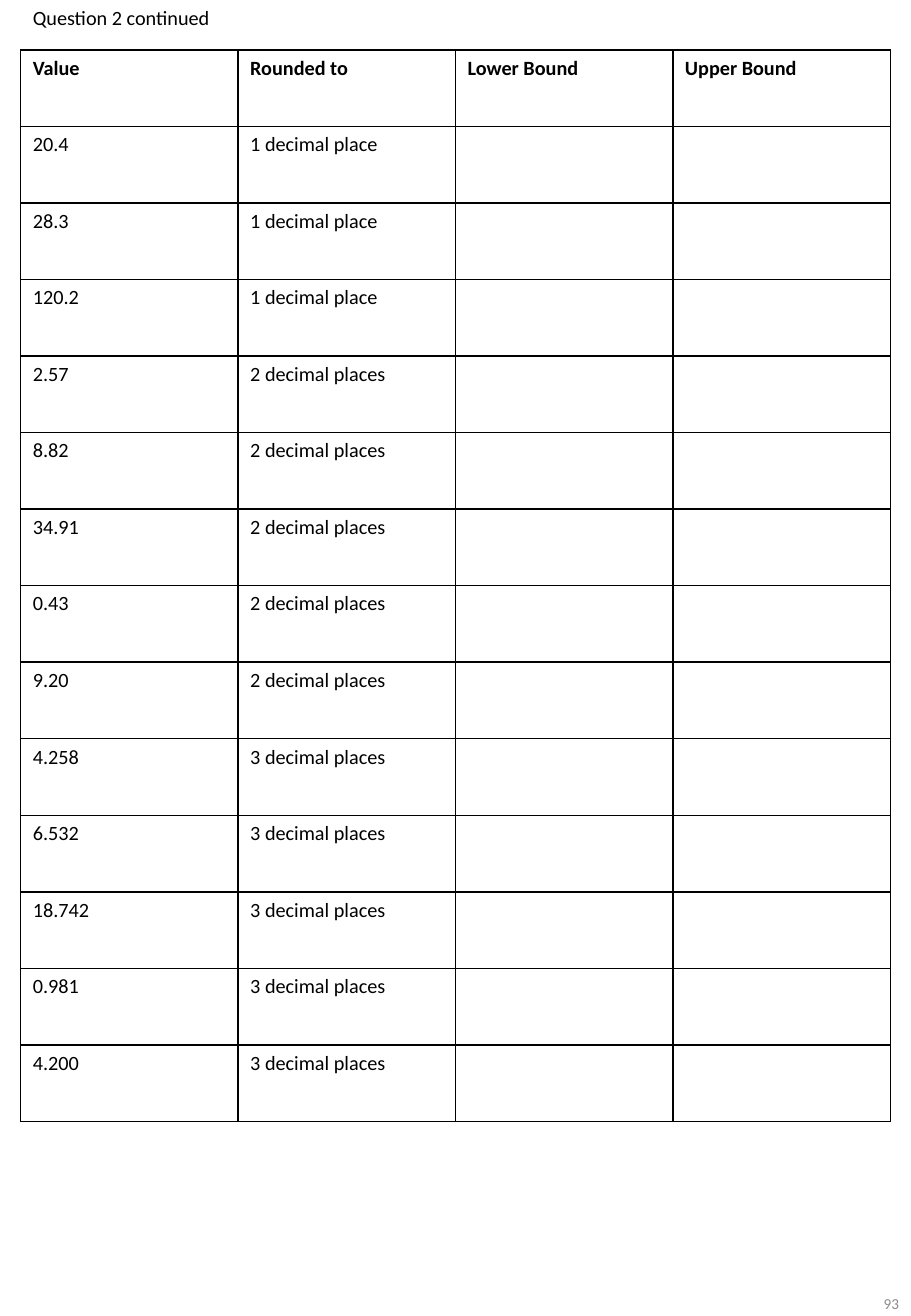
"""Build a worksheet page with a table of rounded values and blank bounds."""
import pptx
import pptx.dml.color
import pptx.enum.text
import pptx.util
from lxml import etree
from pptx.oxml.ns import qn
from pptx.util import Inches

BLACK = pptx.dml.color.RGBColor(0x00, 0x00, 0x00)
GREY = pptx.dml.color.RGBColor(0x8C, 0x8C, 0x8C)
HEADINGS = ["Value", "Rounded to", "Lower Bound", "Upper Bound"]
VALUES = ["20.4", "28.3", "120.2", "2.57", "8.82", "34.91", "0.43",
          "9.20", "4.258", "6.532", "18.742", "0.981", "4.200"]


def write(frame, text, size=12, color=BLACK, bold=False, align=pptx.enum.text.PP_ALIGN.LEFT):
    paragraph = frame.paragraphs[0]
    paragraph.alignment = align
    paragraph.font.size = pptx.util.Pt(size)
    if text:
        run = paragraph.add_run()
        run.text = text
        run.font.name = "Calibri"
        run.font.size = pptx.util.Pt(size)
        run.font.bold = bold
        run.font.color.rgb = color


def format_cell(cell, ruled_sides):
    properties = cell._tc.get_or_add_tcPr()
    for side in "LRTB":
        border = etree.SubElement(properties, qn(f"a:ln{side}"), w=str(pptx.util.Pt(1)))
        if side in ruled_sides:
            fill = etree.SubElement(border, qn("a:solidFill"))
            etree.SubElement(fill, qn("a:srgbClr"), val=str(BLACK))
        else:
            etree.SubElement(border, qn("a:noFill"))
    cell.fill.background()


presentation = pptx.Presentation()
presentation.slide_width = Inches(7.5)
presentation.slide_height = Inches(10.83)
slide = presentation.slides.add_slide(presentation.slide_layouts[6])

page_number = slide.shapes.add_textbox(Inches(5.81), Inches(10.44), Inches(1.69), Inches(0.58))
page_number.text_frame.word_wrap = True
page_number.text_frame.vertical_anchor = pptx.enum.text.MSO_ANCHOR.MIDDLE
write(page_number.text_frame, "93", size=9, color=GREY, align=pptx.enum.text.PP_ALIGN.RIGHT)

rows = [["Question 2 continued", "", "", ""], HEADINGS]
for value in VALUES:
    places = len(value.split(".")[1])
    rows.append([value, f"{places} decimal place{'s' if places > 1 else ''}", "", ""])

bounds = slide.shapes.add_table(
    len(rows), len(HEADINGS), Inches(0.17), Inches(0), Inches(7.16), Inches(9.22)).table
bounds.first_row = False
bounds.horz_banding = False
for column in bounds.columns:
    column.width = Inches(1.79)

for row_index, labels in enumerate(rows):
    bounds.rows[row_index].height = Inches(0.63 if row_index else 0.41)
    for column_index, label in enumerate(labels):
        cell = bounds.cell(row_index, column_index)
        format_cell(cell, "LRTB" if row_index else "B")
        write(cell.text_frame, label, bold=labels is HEADINGS)
bounds.cell(0, 0).merge(bounds.cell(0, len(HEADINGS) - 1))

presentation.save("out.pptx")
